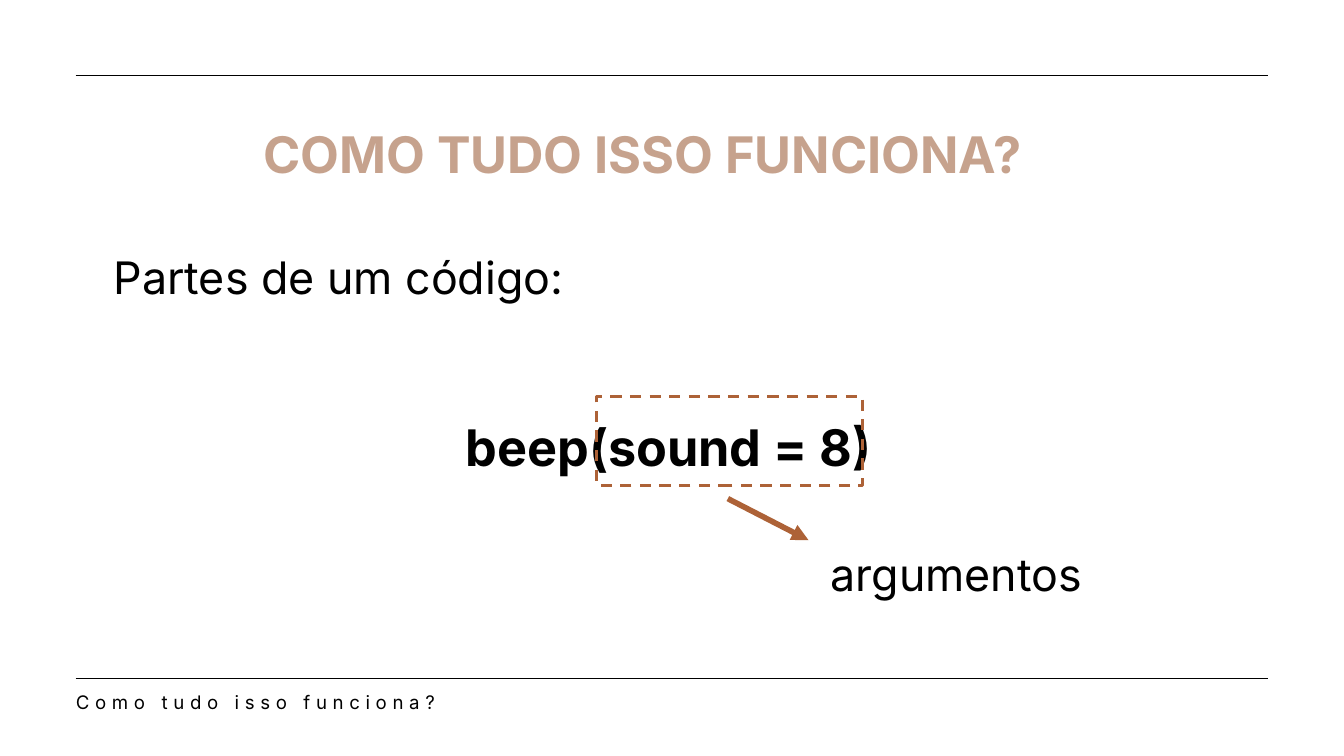
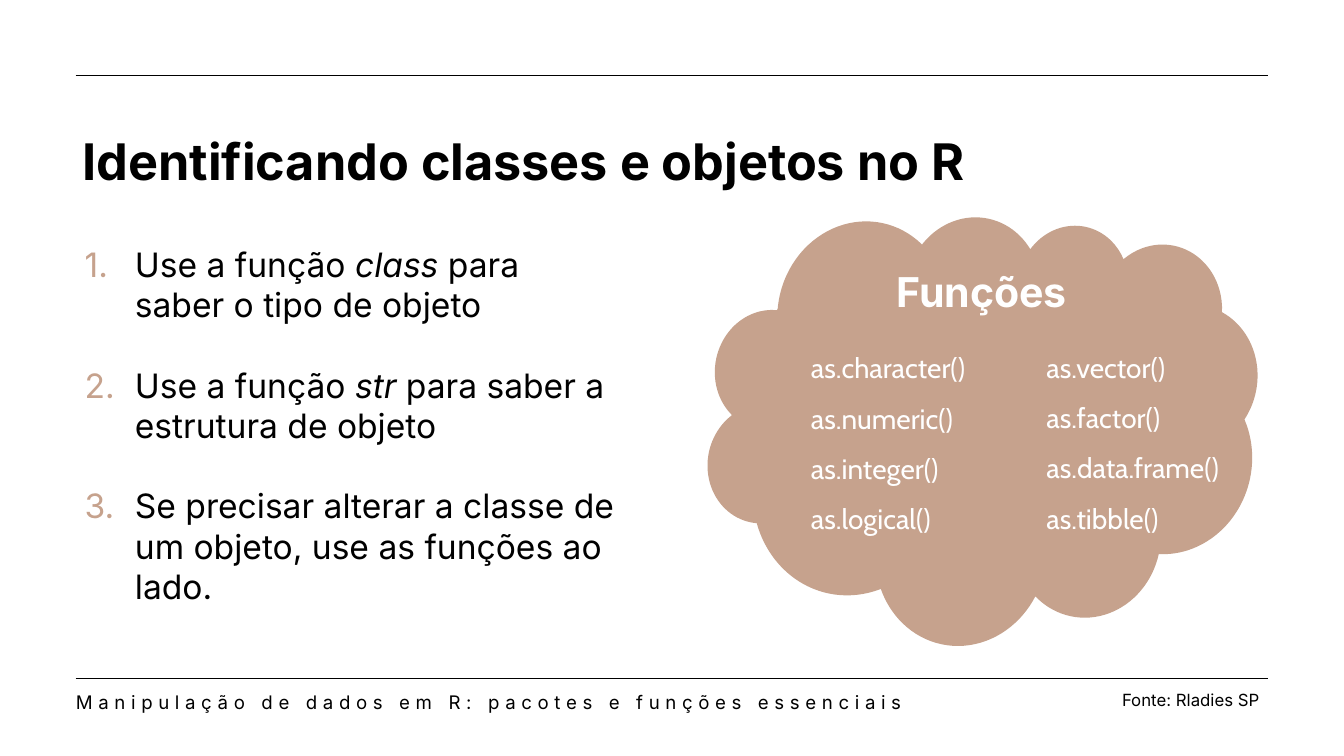
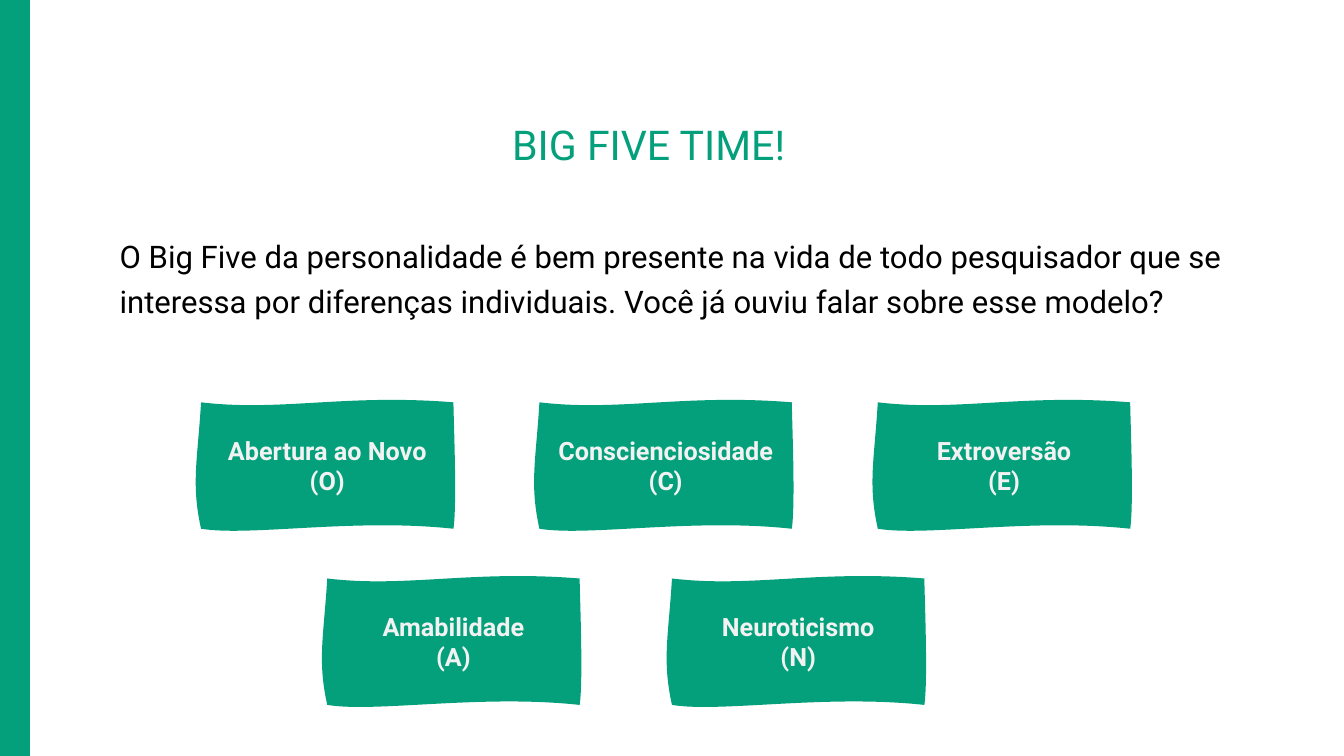
import pptx
import pptx.util
from lxml import etree
from pptx.dml.color import RGBColor
from pptx.enum.dml import MSO_LINE
from pptx.enum.shapes import MSO_CONNECTOR, MSO_SHAPE
from pptx.enum.text import MSO_ANCHOR, PP_ALIGN
from pptx.oxml.ns import qn

Cm = pptx.util.Cm
Pt = pptx.util.Pt

BLACK = RGBColor(0x00, 0x00, 0x00)
WHITE = RGBColor(0xFF, 0xFF, 0xFF)
PALE = RGBColor(0xF2, 0xF2, 0xF2)
SAND = RGBColor(0xC6, 0xA2, 0x8D)
RUST = RGBColor(0xAD, 0x62, 0x37)
GREEN = RGBColor(0x04, 0xA0, 0x7B)

TITLE = {"name": "Inter", "size": Pt(54), "bold": True}
HEAD = {"name": "Inter", "size": Pt(44), "bold": True}
BODY = {"name": "Inter", "size": Pt(48)}
STEP = {"name": "Inter", "size": Pt(36)}
FOOT = {"name": "Inter", "size": Pt(20)}
NOTE = {"name": "Inter", "size": Pt(18)}
CODE = {"name": "Cabin", "size": Pt(30)}
TOPIC = {"name": "Roboto", "size": Pt(44)}
INTRO = {"name": "Roboto", "size": Pt(33.3)}
LABEL = {"name": "Roboto", "size": Pt(27), "bold": True}

CENTER = {"alignment": PP_ALIGN.CENTER}
LOOSE = {"line_spacing": 1.2}
MIDDLE = {"vertical_anchor": MSO_ANCHOR.MIDDLE}
ITALIC = {"italic": True}

LEFT, RIGHT = 2.86, 47.94
TOP_RULE, LOW_RULE = 2.86, 25.66

# Two control points and the end of each side of a waving flag,
# in cm from its top left corner
FLAG = [
    ((3, 0.36), (5.44, -0.33), (9.54, 0)),
    ((9.55, 0.79), (9.68, 3.86), (9.54, 4.78)),
    ((5.79, 4.37), (1.85, 5.08), (0, 4.78)),
    ((-0.38, 3.07), (-0.13, 2.18), (0, 0)),
]
TRAITS = [
    (7.6, 15.21, 12.79, [["Abertura ao Novo (O)"], ["Conscienciosidade", "(C)"],
                         ["Extroversão", "(E)"]]),
    (12.37, 21.87, 13.03, [["Amabilidade", "(A)"], ["Neuroticismo", "(N)"]]),
]
CASTS = [
    (30.15, 12.5, 8.81, ["as.character()", "as.numeric()", "as.integer()", "as.logical()"]),
    (39.05, 12.48, 8.59, ["as.vector()", "as.factor()", "as.data.frame()", "as.tibble()"]),
]
STEPS = [
    [("Use a função ", {}), ("class ", ITALIC), ("para saber o tipo de objeto", {})],
    [("Use a função ", {}), ("str ", ITALIC), ("para saber a estrutura de objeto", {})],
    [("Se precisar alterar a classe de um objeto, use as funções ao lado.", {})],
]


def apply(target, values):
    for key, value in values.items():
        setattr(target, key, value)


def write(frame, paras, font, color, layout):
    """Fill a text frame; a paragraph is a string or a list of (text, format) runs."""
    for index, para in enumerate(paras):
        line = frame.add_paragraph() if index else frame.paragraphs[0]
        apply(line, layout)
        for text, extra in [(para, {})] if isinstance(para, str) else para:
            run = line.add_run()
            run.text = text
            apply(run.font, {**font, **extra})
            run.font.color.rgb = color


def add_text(slide, box, paras, font, color=BLACK, layout={}, frame={}):
    shape = slide.shapes.add_textbox(*map(Cm, box))
    apply(shape.text_frame, {"word_wrap": True, **frame})
    write(shape.text_frame, paras, font, color, layout)
    return shape.text_frame


def indent(line, margin, hang=0):
    props = line._p.get_or_add_pPr()
    props.set("marL", str(Cm(margin)))
    props.set("indent", str(Cm(-hang)))
    return props


def number(line, color):
    props = indent(line, 1.9, 1.9)
    tint = etree.SubElement(props, qn("a:buClr"))
    etree.SubElement(tint, qn("a:srgbClr"), val=str(color))
    etree.SubElement(props, qn("a:buAutoNum"), type="arabicPeriod")


def paint(shape, fill=None, line=None, width=0):
    shape.shadow.inherit = False
    if fill is None:
        shape.fill.background()
    else:
        shape.fill.solid()
        shape.fill.fore_color.rgb = fill
    if line is None:
        shape.line.fill.background()
    else:
        shape.line.color.rgb = line
        shape.line.width = Pt(width)


def add_shape(slide, kind, box, **look):
    shape = slide.shapes.add_shape(kind, *map(Cm, box))
    paint(shape, **look)
    return shape


def add_line(slide, start, end, color, width, arrow=False):
    line = slide.shapes.add_connector(MSO_CONNECTOR.STRAIGHT, *map(Cm, start + end))
    line.line.color.rgb = color
    line.line.width = Pt(width)
    props = line.element.spPr
    if arrow:
        etree.SubElement(props.find(qn("a:ln")), qn("a:tailEnd"), type="triangle")
    etree.SubElement(props, qn("a:effectLst"))


def bend(shape, sides):
    """Turn the straight sides of a freeform into cubic curves."""
    for side, points in zip(list(shape.element.iter(qn("a:lnTo"))), sides):
        curve = etree.Element(qn("a:cubicBezTo"))
        for x, y in points:
            etree.SubElement(curve, qn("a:pt"), x=str(Cm(x)), y=str(Cm(y)))
        side.getparent().replace(side, curve)


def add_flag(slide, left, top, paras):
    ends = [(Cm(left + x), Cm(top + y)) for *_, (x, y) in FLAG]
    pen = slide.shapes.build_freeform(Cm(left), Cm(top))
    pen.add_line_segments(ends, close=True)
    flag = pen.convert_to_shape()
    bend(flag, FLAG)
    paint(flag, fill=GREEN)
    apply(flag.text_frame, {"word_wrap": True, **MIDDLE})
    write(flag.text_frame, paras, LABEL, PALE, CENTER)


def add_title(slide, box, text, font, color, layout=CENTER):
    add_text(slide, box, [text], font, color, layout, MIDDLE)


def add_frame(slide, footer):
    """Draw the two rules and the spaced footer."""
    for y in (LOW_RULE, TOP_RULE):
        add_line(slide, (LEFT, y), (RIGHT, y), BLACK, 1.5)
    bare = dict.fromkeys(("margin_left", "margin_top", "margin_right", "margin_bottom"), 0)
    text = add_text(slide, (2.87, 25.98, 32.28, 0.91), [footer], FOOT,
                    layout={"line_spacing": Pt(28)}, frame=bare)
    text.paragraphs[0].runs[0].font._element.set("spc", "600")


def draw_parts(slide):
    add_title(slide, (4.04, 2.67, 40.51, 6.25), "COMO TUDO ISSO FUNCIONA?", TITLE, SAND)
    add_text(slide, (4.04, 8.92, 42.49, 10.29), ["Partes de um código:"], BODY, layout=LOOSE)
    add_text(slide, (14.37, 15.16, 21.82, 3.02), ["beep(sound = 8)"], TITLE,
             layout={**CENTER, **LOOSE})
    add_text(slide, (30.58, 20.55, 11.13, 2.31), ["argumentos"], BODY, layout=CENTER)
    frame = add_shape(slide, MSO_SHAPE.RECTANGLE, (22.55, 14.99, 10.05, 3.36),
                      line=RUST, width=3)
    frame.line.dash_style = MSO_LINE.DASH
    add_frame(slide, "Como tudo isso funciona?")
    add_line(slide, (27.51, 18.85), (30.56, 20.42), RUST, 6, arrow=True)


def draw_classes(slide):
    cloud = add_shape(slide, MSO_SHAPE.CLOUD, (26.77, 7.87, 20.65, 16.56), fill=SAND)
    cloud.rotation = 12
    steps = add_text(slide, (2.95, 9.09, 20.65, 14.1), STEPS, STEP)
    for index, line in enumerate(steps.paragraphs):
        number(line, SAND)
        if index:
            line.space_before = Pt(43)
    for left, top, width, names in CASTS:
        casts = add_text(slide, (left, top, width, 7.95), names, CODE, WHITE,
                         {"line_spacing": 1.5})
        for line in casts.paragraphs:
            indent(line, 0.25)
    add_frame(slide, "Manipulação de dados em R: pacotes e funções essenciais")
    add_text(slide, (42.16, 25.95, 5.79, 1.02), ["Fonte: Rladies SP"], NOTE,
             frame={"word_wrap": False})
    add_title(slide, (2.87, 3.66, 40.51, 4.83), "Identificando classes e objetos no R",
              TITLE, BLACK, {})
    add_title(slide, (31.88, 8.97, 10.46, 4.04), "Funções", HEAD, WHITE)


def draw_traits(slide, height):
    add_title(slide, (4.27, 2.34, 40.51, 6.25), "BIG FIVE TIME!", TOPIC, GREEN)
    add_text(slide, (4.27, 8.57, 43.13, 4.78),
             ["O Big Five da personalidade é bem presente na vida de todo pesquisador que se "
              "interessa por diferenças individuais. Você já ouviu falar sobre esse modelo?"],
             INTRO, layout=LOOSE)
    add_shape(slide, MSO_SHAPE.RECTANGLE, (0, 0, 1.11, height), fill=GREEN, line=GREEN, width=2)
    for left, top, pitch, labels in TRAITS:
        for index, paras in enumerate(labels):
            add_flag(slide, left + index * pitch, top, paras)


def main():
    width, height = 50.8, 28.58
    deck = pptx.Presentation()
    apply(deck, {"slide_width": Cm(width), "slide_height": Cm(height)})
    blank = deck.slide_layouts[6]
    draw_parts(deck.slides.add_slide(blank))
    draw_classes(deck.slides.add_slide(blank))
    draw_traits(deck.slides.add_slide(blank), height)
    deck.save("out.pptx")


if __name__ == "__main__":
    main()
